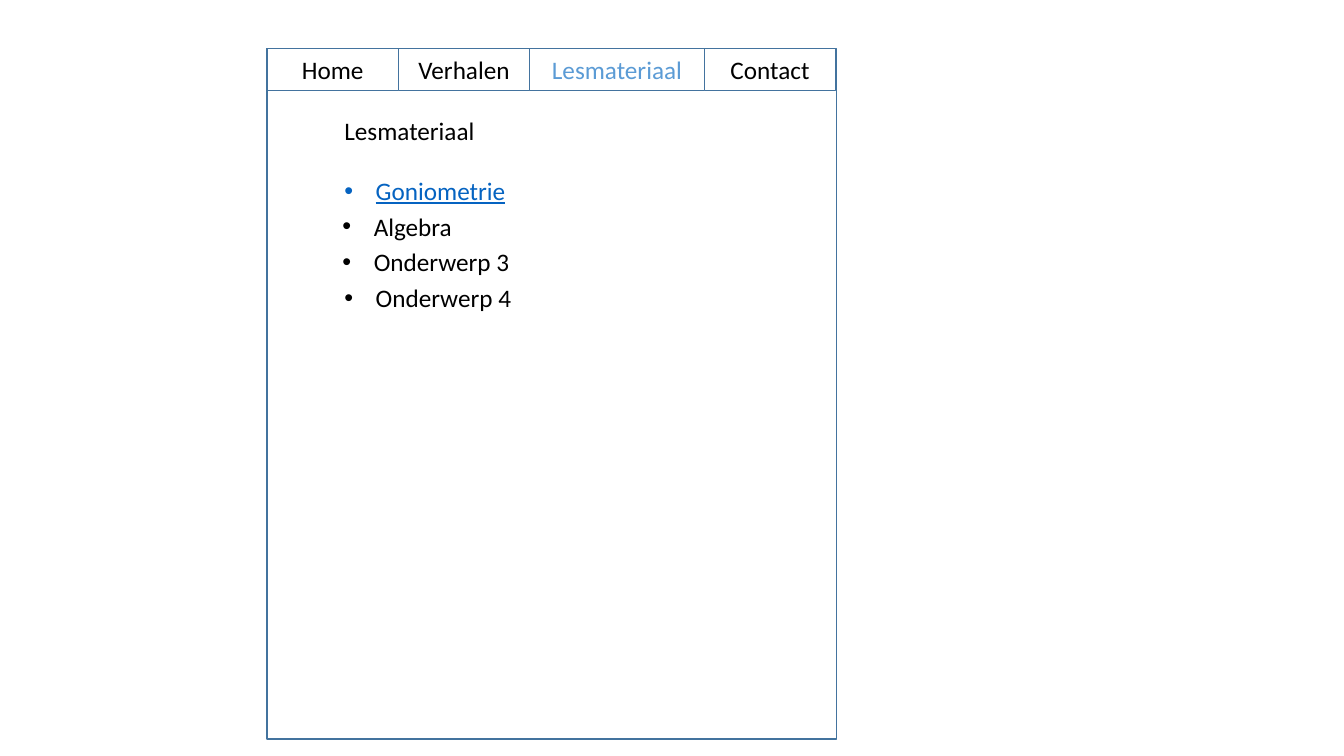
from pptx import Presentation
from pptx import util as u
from pptx.dml.color import RGBColor
from pptx.enum import shapes, text
from pptx.oxml.ns import qn
from lxml import etree

WHITE = RGBColor(0xFF, 0xFF, 0xFF)
BLACK = RGBColor(0x00, 0x00, 0x00)
BORDER = RGBColor(0x43, 0x73, 0x9E)
ACTIVE = RGBColor(0x5B, 0x9B, 0xD5)
LINK = RGBColor(0x05, 0x63, 0xC1)

PAGE_LEFT, PAGE_TOP, PAGE_WIDTH, PAGE_HEIGHT = 6.73, 1.22, 14.35, 17.4
TAB_HEIGHT = 1.07
TABS = [("Home", 3.31, BLACK), ("Verhalen", 3.31, BLACK),
        ("Lesmateriaal", 4.4, ACTIVE), ("Contact", 3.31, BLACK)]

TEXT_LEFT = 8.43
TOPIC_TOP, TOPIC_PITCH, TOPIC_WIDTH = 4.29, 0.9, 5.97
# text, left, height, colour, underlined
TOPICS = [("Goniometrie", TEXT_LEFT, 1.8, LINK, True),
          ("Algebra", 8.38, 1.8, BLACK, False),
          ("Onderwerp 3", 8.38, 1.8, BLACK, False),
          ("Onderwerp 4", TEXT_LEFT, 1.02, BLACK, False)]


class Page:
    font = "Calibri"
    size = u.Pt(18)
    indent = u.Cm(0.79)

    def __init__(self, slide):
        self.s = slide

    def box(self, left, top, width, height):
        sp = self.s.shapes.add_shape(
            shapes.MSO_SHAPE.RECTANGLE,
            u.Cm(left), u.Cm(top), u.Cm(width), u.Cm(height))
        sp.shadow.inherit = False
        sp.fill.solid()
        sp.fill.fore_color.rgb = WHITE
        sp.line.color.rgb = BORDER
        sp.line.width = u.Pt(1)
        return sp

    def run(self, p, words, color, underline=False):
        r = p.add_run()
        r.text = words
        r.font.name = self.font
        r.font.size = self.size
        r.font.color.rgb = color
        if underline:
            r.font.underline = True

    def tab(self, words, left, width, color):
        tf = self.box(left, PAGE_TOP, width, TAB_HEIGHT).text_frame
        tf.vertical_anchor = text.MSO_ANCHOR.MIDDLE
        p = tf.paragraphs[0]
        p.alignment = text.PP_ALIGN.CENTER
        self.run(p, words, color)

    def label(self, words, left, top, width, height, color=BLACK, underline=False):
        sp = self.s.shapes.add_textbox(
            u.Cm(left), u.Cm(top), u.Cm(width), u.Cm(height))
        tf = sp.text_frame
        tf.word_wrap = True
        p = tf.paragraphs[0]
        self.run(p, words, color, underline)
        return p

    def bullet(self, *args):
        """Add a label whose paragraph has a hanging bullet."""
        pPr = self.label(*args)._p.get_or_add_pPr()
        pPr.set("marL", str(self.indent))
        pPr.set("indent", str(-self.indent))
        etree.SubElement(pPr, qn("a:buFont")).set("typeface", "Arial")
        etree.SubElement(pPr, qn("a:buChar")).set("char", "•")


def main():
    prs = Presentation()
    prs.slide_width, prs.slide_height = u.Cm(33.87), u.Cm(19.05)
    page = Page(prs.slides.add_slide(prs.slide_layouts[6]))

    page.box(PAGE_LEFT, PAGE_TOP, PAGE_WIDTH, PAGE_HEIGHT)
    left = PAGE_LEFT
    for words, width, color in TABS:
        page.tab(words, left, width, color)
        left += width

    page.label("Lesmateriaal", TEXT_LEFT, 2.77, 7.9, 1.02)
    for row, (words, left, height, color, underline) in enumerate(TOPICS):
        page.bullet(words, left, TOPIC_TOP + row * TOPIC_PITCH,
                    TOPIC_WIDTH, height, color, underline)

    prs.save("out.pptx")


if __name__ == "__main__":
    main()
